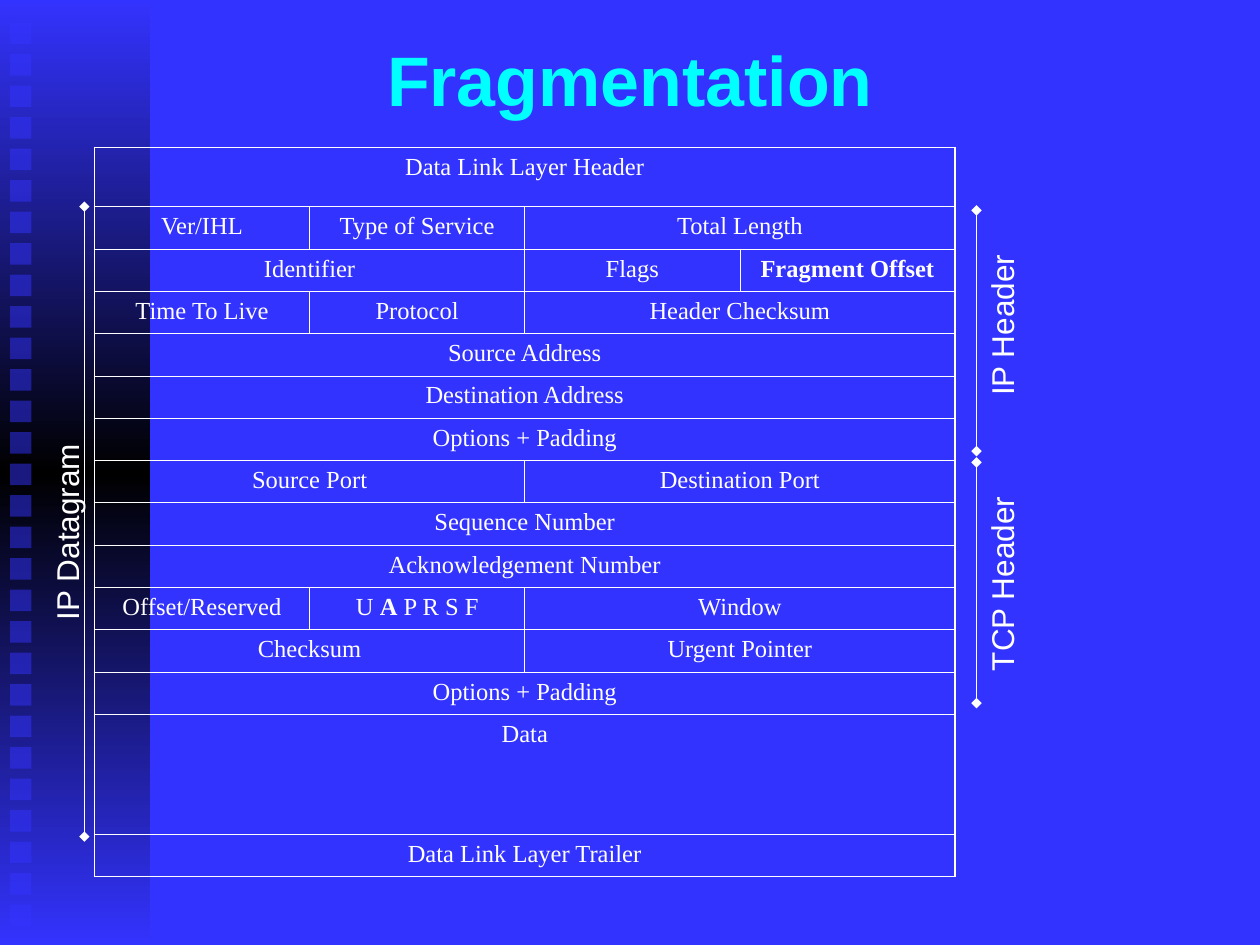
from copy import deepcopy
from dataclasses import dataclass

from lxml.etree import SubElement
from pptx import Presentation
from pptx.dml.color import RGBColor
from pptx.enum.shapes import MSO_CONNECTOR, MSO_SHAPE
from pptx.enum.text import MSO_ANCHOR, PP_ALIGN
from pptx.oxml.ns import qn
from pptx.util import Inches, Pt

BLUE = RGBColor(0x33, 0x33, 0xFF)
BLACK = RGBColor(0, 0, 0)
WHITE = RGBColor(255, 255, 255)
CYAN = RGBColor(0, 255, 255)

SLIDE_WIDTH, SLIDE_HEIGHT = 10, 7.5
COLUMNS = 4
TABLE_LEFT, TABLE_TOP, TABLE_WIDTH, TABLE_HEIGHT = 0.75, 1.17, 6.83, 5.79
HEADER_HEIGHT, DATA_HEIGHT = 0.47, 0.95
OUTER_LINE, INNER_LINE = 1.08, 0.45


@dataclass(frozen=True)
class Field:
    text: str
    span: int = COLUMNS
    bold: str = ""


@dataclass(frozen=True)
class Bracket:
    label: str
    line_x: float
    top: float
    bottom: float
    label_x: float
    label_y: float
    label_width: float


PACKET = [
    [Field("Data Link Layer Header")],
    [Field("Ver/IHL", 1), Field("Type of Service", 1), Field("Total Length", 2)],
    [Field("Identifier", 2), Field("Flags", 1), Field("Fragment Offset", 1, "Fragment Offset")],
    [Field("Time To Live", 1), Field("Protocol", 1), Field("Header Checksum", 2)],
    [Field("Source Address")],
    [Field("Destination Address")],
    [Field("Options + Padding")],
    [Field("Source Port", 2), Field("Destination Port", 2)],
    [Field("Sequence Number")],
    [Field("Acknowledgement Number")],
    [Field("Offset/Reserved", 1), Field("U A P R S F", 1, "A"), Field("Window", 2)],
    [Field("Checksum", 2), Field("Urgent Pointer", 2)],
    [Field("Options + Padding")],
    [Field("Data")],
    [Field("Data Link Layer Trailer")],
]
DATA_ROW = len(PACKET) - 2

# Label positions are the centres of the turned text
BRACKETS = [
    Bracket("IP Datagram", 0.67, 1.64, 6.64, 0.53, 4.22, 1.6),
    Bracket("IP Header", 7.75, 1.67, 3.58, 7.95, 2.58, 1.32),
    Bracket("TCP Header", 7.75, 3.67, 5.58, 7.95, 4.63, 1.59),
]


def add_run(paragraph, text: str, *, size: float, font: str, color: RGBColor, bold: bool = False) -> None:
    run = paragraph.add_run()
    run.text = text
    run.font.size = Pt(size)
    run.font.name = font
    run.font.bold = bold
    run.font.color.rgb = color


def add_text(slide, text: str, left: float, top: float, width: float, height: float, *,
             size: float, color: RGBColor, bold: bool = False, wrap: bool = True,
             rotation: float = 0, align=PP_ALIGN.LEFT, anchor=MSO_ANCHOR.TOP) -> None:
    box = slide.shapes.add_textbox(Inches(left), Inches(top), Inches(width), Inches(height))
    box.rotation = rotation
    frame = box.text_frame
    frame.word_wrap = wrap
    frame.vertical_anchor = anchor
    paragraph = frame.paragraphs[0]
    paragraph.alignment = align
    add_run(paragraph, text, size=size, font="Arial", color=color, bold=bold)


def add_rectangle(slide, left: float, top: float, width: float, height: float):
    shape = slide.shapes.add_shape(
        MSO_SHAPE.RECTANGLE, Inches(left), Inches(top), Inches(width), Inches(height))
    shape.shadow.inherit = False
    shape.line.fill.background()
    return shape


def add_side_band(slide) -> None:
    band = add_rectangle(slide, 0, 0, 1.19, SLIDE_HEIGHT)
    band.fill.gradient()
    band.fill.gradient_angle = 90
    stop_list = band._element.spPr.find(qn("a:gradFill")).find(qn("a:gsLst"))
    stop_list.insert(1, deepcopy(stop_list[0]))
    for stop, position, color in zip(band.fill.gradient_stops, (0, 0.5, 1), (BLUE, BLACK, BLUE)):
        stop.position = position
        stop.color.rgb = color

    # Column of half-transparent squares
    for index in range(29):
        square = add_rectangle(slide, 0.08, 0.18 + 0.25 * index, 0.17, 0.17)
        square.fill.solid()
        square.fill.fore_color.rgb = BLUE
        color_element = square._element.spPr.find(qn("a:solidFill"))[0]
        SubElement(color_element, qn("a:alpha"), val="50000")


def set_borders(cell, widths: dict[str, float]) -> None:
    properties = cell._tc.get_or_add_tcPr()
    for index, (side, width) in enumerate(widths.items()):
        line = SubElement(properties, qn(f"a:{side}"), w=str(Pt(width)))
        SubElement(SubElement(line, qn("a:solidFill")), qn("a:srgbClr"), val=str(WHITE))
        properties.insert(index, line)


def fill_field(cell, field: Field) -> None:
    paragraph = cell.text_frame.paragraphs[0]
    paragraph.alignment = PP_ALIGN.CENTER
    paragraph.space_before = Pt(3.5)
    parts = field.text.partition(field.bold) if field.bold else (field.text,)
    for part in filter(None, parts):
        add_run(paragraph, part, size=14, font="Times New Roman", color=WHITE,
                bold=part == field.bold)


def add_packet_table(slide) -> None:
    table_frame = slide.shapes.add_table(
        len(PACKET), COLUMNS, Inches(TABLE_LEFT), Inches(TABLE_TOP),
        Inches(TABLE_WIDTH), Inches(TABLE_HEIGHT))
    table = table_frame.table
    table.first_row = table.horz_banding = False
    for column in table.columns:
        column.width = Inches(TABLE_WIDTH / COLUMNS)
    plain_height = (TABLE_HEIGHT - HEADER_HEIGHT - DATA_HEIGHT) / (len(PACKET) - 2)
    special_heights = {0: HEADER_HEIGHT, DATA_ROW: DATA_HEIGHT}
    last_row = len(PACKET) - 1

    for row, fields in enumerate(PACKET):
        table.rows[row].height = Inches(special_heights.get(row, plain_height))
        start = 0
        for field in fields:
            end = start + field.span
            widths = {
                "lnL": OUTER_LINE if start == 0 else INNER_LINE,
                "lnR": OUTER_LINE if end == COLUMNS else INNER_LINE,
                "lnT": OUTER_LINE if row == 0 else INNER_LINE,
                "lnB": OUTER_LINE if row == last_row else INNER_LINE,
            }
            for column in range(start, end):
                cell = table.cell(row, column)
                cell.fill.background()
                set_borders(cell, widths)
            cell = table.cell(row, start)
            if field.span > 1:
                cell.merge(table.cell(row, end - 1))
            fill_field(cell, field)
            start = end


def add_bracket(slide, bracket: Bracket) -> None:
    connector = slide.shapes.add_connector(
        MSO_CONNECTOR.STRAIGHT, Inches(bracket.line_x), Inches(bracket.top),
        Inches(bracket.line_x), Inches(bracket.bottom))
    connector.line.color.rgb = WHITE
    connector.line.width = Pt(1)
    line = connector.line._get_or_add_ln()
    for end in ("headEnd", "tailEnd"):
        SubElement(line, qn(f"a:{end}"), type="diamond")
    SubElement(connector._element.spPr, qn("a:effectLst"))
    height = 0.4
    add_text(slide, bracket.label, bracket.label_x - bracket.label_width / 2,
             bracket.label_y - height / 2, bracket.label_width, height,
             size=18, color=WHITE, wrap=False, rotation=270)


presentation = Presentation()
presentation.slide_width = Inches(SLIDE_WIDTH)
presentation.slide_height = Inches(SLIDE_HEIGHT)
slide = presentation.slides.add_slide(presentation.slide_layouts[6])
slide.background.fill.solid()
slide.background.fill.fore_color.rgb = BLUE

# Background decoration, packet layout, brackets and title
add_side_band(slide)
add_packet_table(slide)
for bracket in BRACKETS:
    add_bracket(slide, bracket)
add_text(slide, "Fragmentation", 0.75, 0, 8.5, 1.25, size=40, color=CYAN, bold=True,
         align=PP_ALIGN.CENTER, anchor=MSO_ANCHOR.MIDDLE)

presentation.save("out.pptx")
